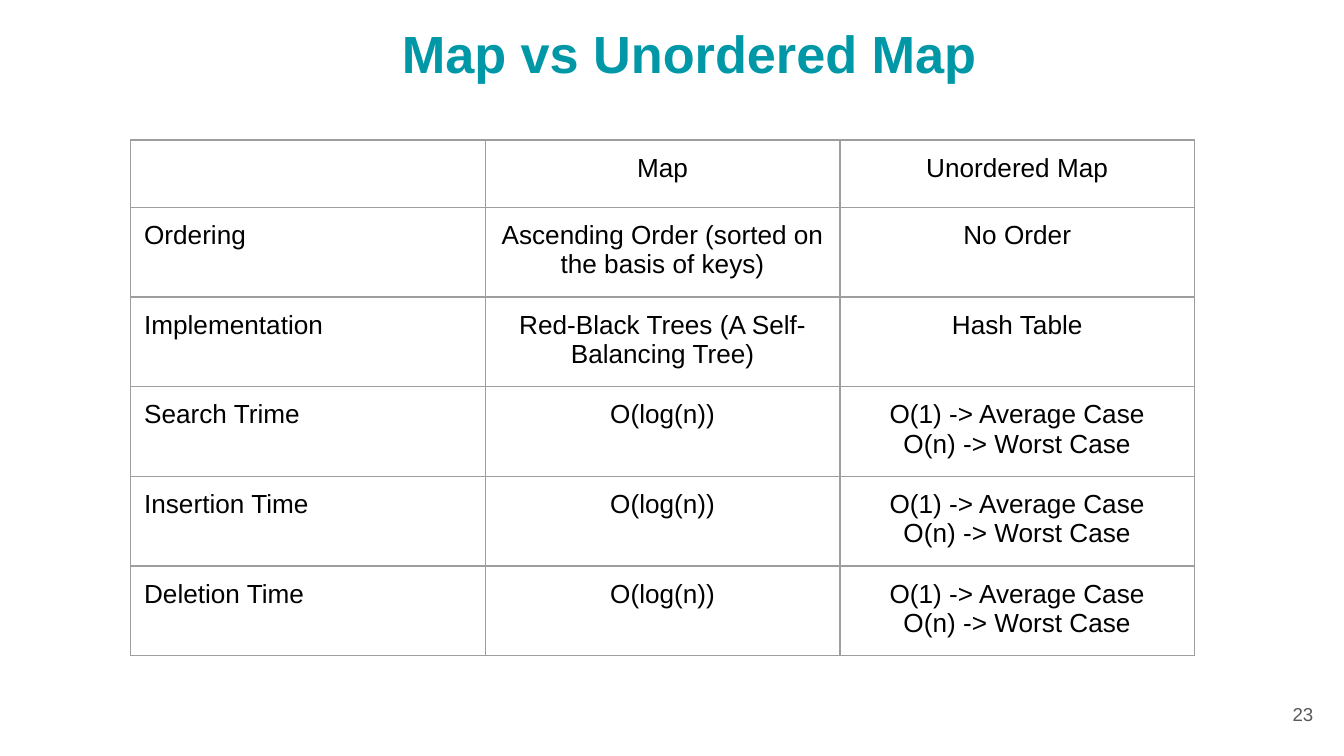
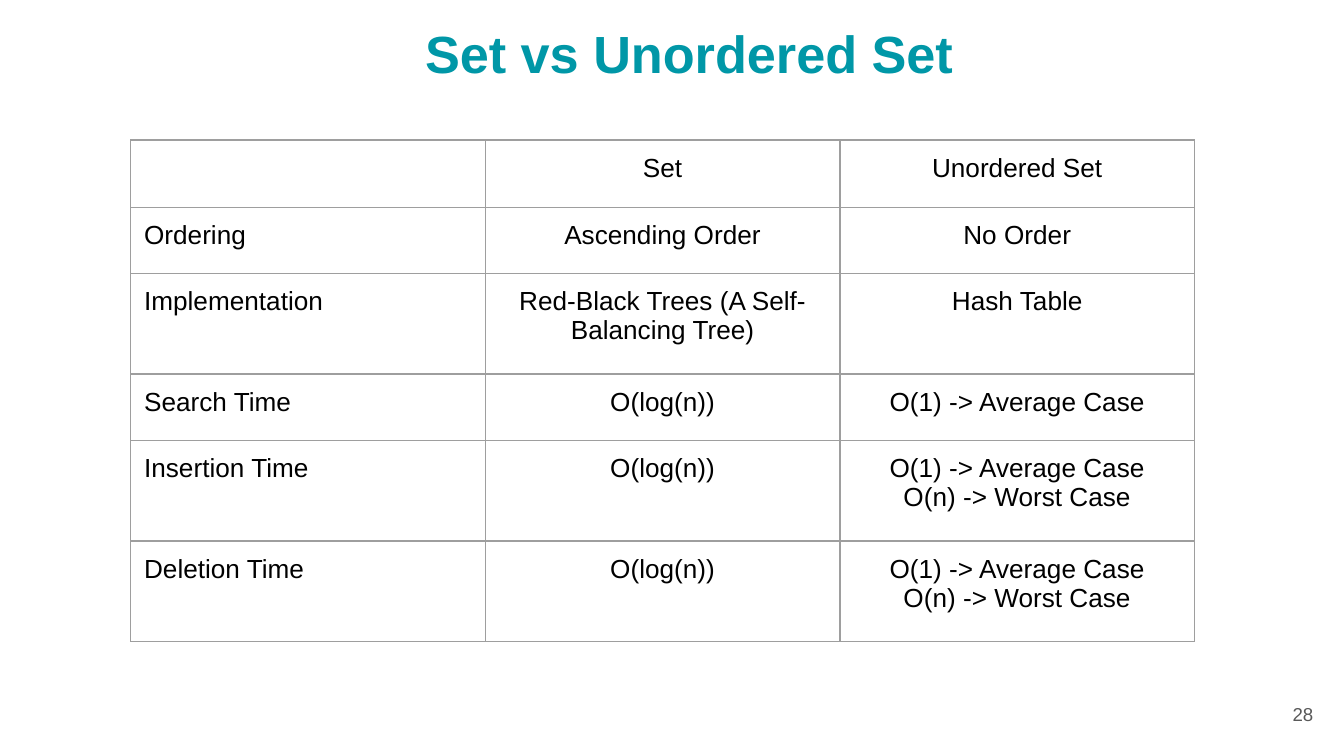
from lxml.etree import SubElement
from pptx import Presentation
from pptx.dml.color import RGBColor
from pptx.enum.text import MSO_ANCHOR, PP_ALIGN
from pptx.oxml.ns import qn
from pptx.util import Pt

# Shared style
FONT = "Arial"
TEAL = "0097A7"
BLACK = "000000"
GREY = "595959"
BORDER = "9E9E9E"
INSET = 7.2
BLANK_LAYOUT = 6

# Shared cell wording
LOGARITHMIC = "O(log(n))"
AVERAGE = "O(1) -> Average Case"
AVERAGE_AND_WORST = AVERAGE + "\nO(n) -> Worst Case"
IMPLEMENTATION = ("Implementation", "Red-Black Trees (A Self-Balancing Tree)", "Hash Table")
INSERTION = ("Insertion Time", LOGARITHMIC, AVERAGE_AND_WORST)
DELETION = ("Deletion Time", LOGARITHMIC, AVERAGE_AND_WORST)

MAP_ROWS = [
    ("", "Map", "Unordered Map"),
    ("Ordering", "Ascending Order (sorted on the basis of keys)", "No Order"),
    IMPLEMENTATION,
    ("Search Trime", LOGARITHMIC, AVERAGE_AND_WORST),
    INSERTION,
    DELETION,
]
SET_ROWS = [
    ("", "Set", "Unordered Set"),
    ("Ordering", "Ascending Order", "No Order"),
    IMPLEMENTATION,
    ("Search Time", LOGARITHMIC, AVERAGE),
    INSERTION,
    DELETION,
]


def color(hex_string):
    return RGBColor.from_string(hex_string)


def write_text(text_frame, text, size=14, hex_color=BLACK, bold=False, align=PP_ALIGN.LEFT):
    """Fill a text frame, one paragraph for each line of text."""
    text_frame.text = text
    for paragraph in text_frame.paragraphs:
        paragraph.alignment = align
        for run in paragraph.runs:
            run.font.name = FONT
            run.font.size = Pt(size)
            run.font.bold = bold
            run.font.color.rgb = color(hex_color)


def add_text(slide, text, left, top, width, height, anchor=MSO_ANCHOR.TOP, **text_format):
    shape = slide.shapes.add_textbox(Pt(left), Pt(top), Pt(width), Pt(height))
    frame = shape.text_frame
    frame.word_wrap = True
    frame.vertical_anchor = anchor
    frame.margin_left = frame.margin_right = Pt(INSET)
    frame.margin_top = frame.margin_bottom = Pt(INSET)
    write_text(frame, text, **text_format)


def style_cell(cell):
    """Give a cell even margins, thin borders and no fill."""
    cell.margin_left = cell.margin_right = Pt(INSET)
    cell.margin_top = cell.margin_bottom = Pt(INSET)
    properties = cell._tc.get_or_add_tcPr()
    for side in ("a:lnL", "a:lnR", "a:lnT", "a:lnB"):
        line = SubElement(properties, qn(side), w=str(Pt(0.75)))
        fill = SubElement(line, qn("a:solidFill"))
        SubElement(fill, qn("a:srgbClr"), val=BORDER)
    cell.fill.background()


def add_comparison_table(slide, rows, row_heights):
    frame = slide.shapes.add_table(len(rows), len(rows[0]), Pt(70), Pt(75), Pt(570), Pt(236))
    table = frame.table
    table.first_row = table.horz_banding = False
    for column in table.columns:
        column.width = Pt(190)
    for row, height, texts in zip(table.rows, row_heights, rows):
        row.height = Pt(height)
        for index, (cell, text) in enumerate(zip(row.cells, texts)):
            style_cell(cell)
            if text:
                align = PP_ALIGN.CENTER if index else PP_ALIGN.LEFT
                write_text(cell.text_frame, text, align=align)
    # The frame keeps its own size; the rows grow with their text
    frame.width = frame.height = Pt(236)


def add_comparison_slide(presentation, number, title, rows, row_heights):
    slide = presentation.slides.add_slide(presentation.slide_layouts[BLANK_LAYOUT])
    slide.background.fill.solid()
    slide.background.fill.fore_color.rgb = color("FFFFFF")
    add_text(slide, str(number), 667.4, 367.2, 43.2, 31, anchor=MSO_ANCHOR.MIDDLE,
             size=10, hex_color=GREY, align=PP_ALIGN.RIGHT)
    add_text(slide, title, 27.4, 4.3, 683.3, 48.2,
             size=28, hex_color=TEAL, bold=True, align=PP_ALIGN.CENTER)
    add_comparison_table(slide, rows, row_heights)


def main():
    presentation = Presentation()
    presentation.slide_width = Pt(720)
    presentation.slide_height = Pt(405)
    add_comparison_slide(presentation, 23, "Map vs Unordered Map", MAP_ROWS, [30] * 6)
    add_comparison_slide(presentation, 28, "Set vs Unordered Set", SET_ROWS,
                         [35.4, 35.4, 54, 35.4, 54, 54])
    presentation.save("out.pptx")


if __name__ == "__main__":
    main()
